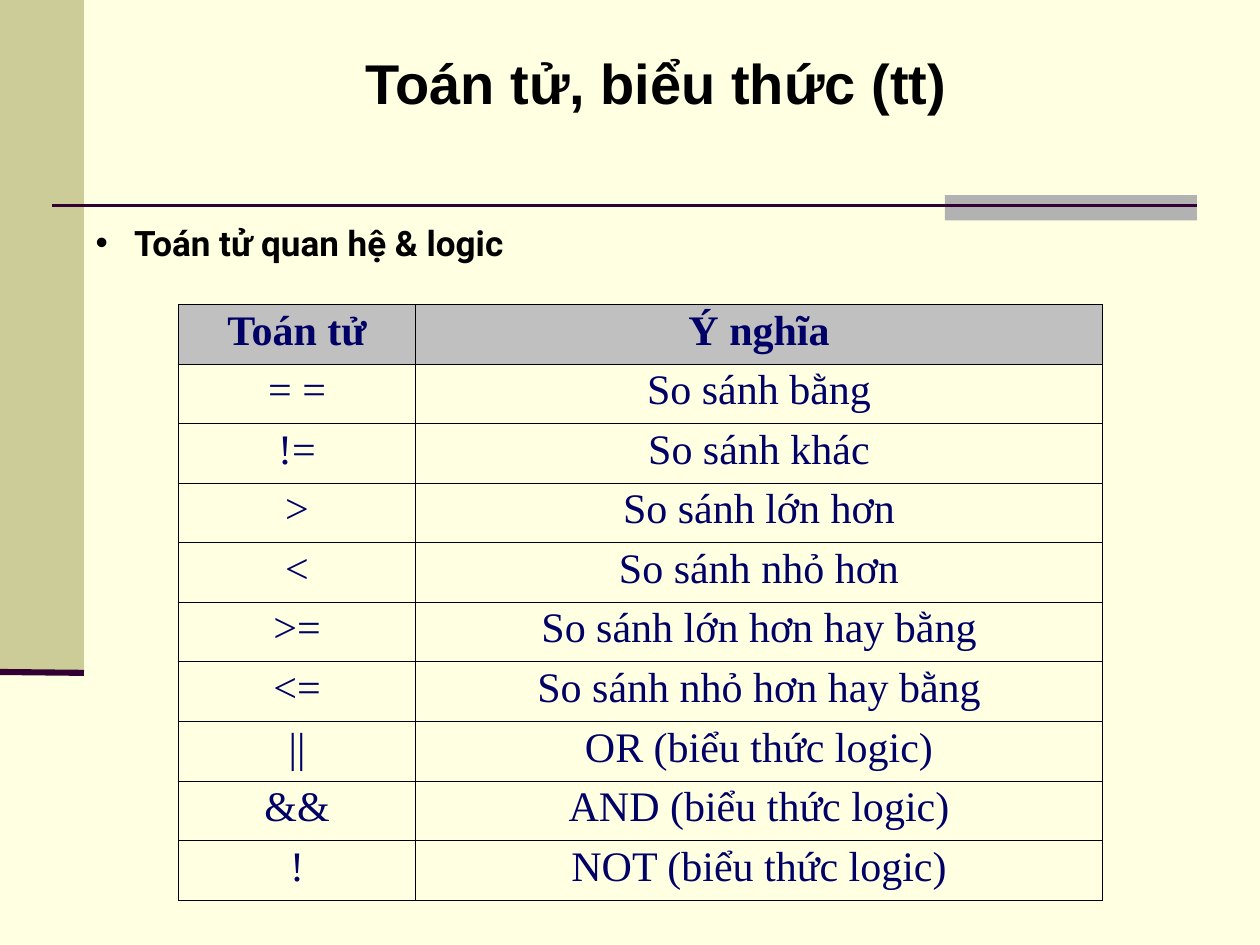
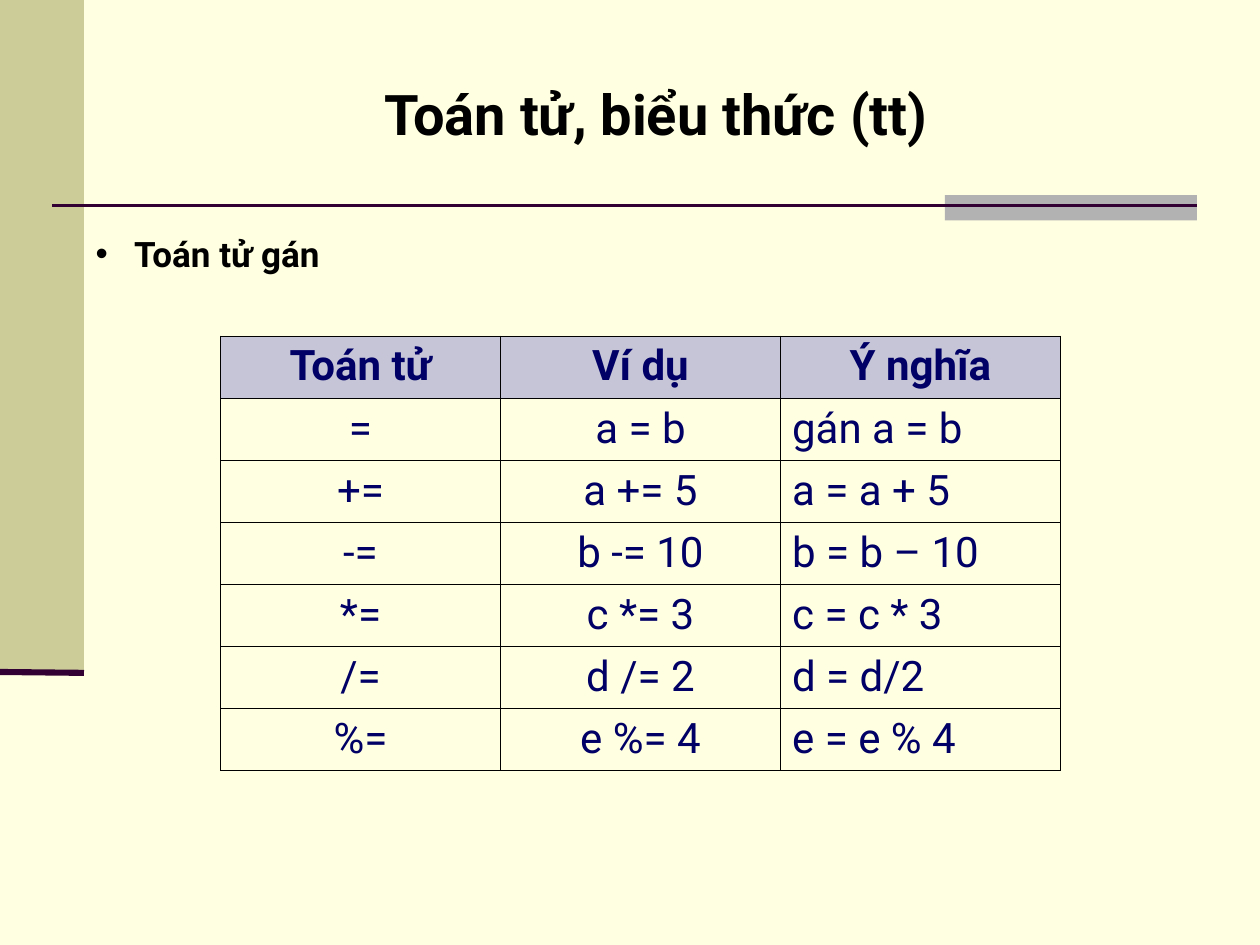
from lxml.etree import SubElement
from pptx import Presentation
from pptx.dml.color import RGBColor
from pptx.enum.shapes import MSO_CONNECTOR as Connector, MSO_SHAPE as Shape
from pptx.enum.text import MSO_AUTO_SIZE as AutoSize, PP_ALIGN as Align
from pptx.oxml.ns import qn
from pptx.util import Pt

CREAM = RGBColor(0xFF, 0xFF, 0xE1)
KHAKI = RGBColor(0xCC, 0xCC, 0x99)
GREY = RGBColor(0xB2, 0xB2, 0xB2)
PLUM = RGBColor(0x33, 0x00, 0x33)
NAVY = RGBColor(0x00, 0x00, 0x66)
BLACK = RGBColor(0x00, 0x00, 0x00)
SILVER = RGBColor(0xC0, 0xC0, 0xC0)
LAVENDER = RGBColor(0xC5, 0xC5, 0xD7)

TITLE = "Toán tử, biểu thức (tt)"
BULLET_INDENT = 22
THIN = 0.25

# Lengths in points; boxes are left, top, width, height
BANDS = [((0, 0, 48, 384), KHAKI), ((540, 111.5, 144, 14.5), GREY)]
RULES = [((30, 117.5, 684, 117.5), 1.5), ((0, 384, 48, 384.5), 3.5)]

PAGES = [
    {
        "title_box": (66, 24, 618, 46), "title_font": "Arial",
        "heading": "Toán tử quan hệ & logic", "heading_box": (54, 126, 612, 25),
        "table_at": (102, 174), "columns": (135.5, 392.5), "row_height": 32.4,
        "font": "Times New Roman", "line_spacing": 0.93, "space_before": 0,
        "header_fill": SILVER, "outline": THIN, "left_column": None,
        "rows": [
            ("Toán tử", "Ý nghĩa"),
            ("= =", "So sánh bằng"),
            ("!=", "So sánh khác"),
            (">", "So sánh lớn hơn"),
            ("<", "So sánh nhỏ hơn"),
            (">=", "So sánh lớn hơn hay bằng"),
            ("<=", "So sánh nhỏ hơn hay bằng"),
            ("||", "OR (biểu thức logic)"),
            ("&&", "AND (biểu thức logic)"),
            ("!", "NOT (biểu thức logic)"),
        ],
    },
    {
        "title_box": (72, 42, 606, 46), "title_font": "Roboto",
        "heading": "Toán tử gán", "heading_box": (54, 132, 588, 25),
        "table_at": (126, 192), "columns": (160, 160, 160), "row_height": 35,
        "font": "Roboto", "line_spacing": 0.98, "space_before": 6,
        "header_fill": LAVENDER, "outline": 0.5, "left_column": 2,
        "rows": [
            ("Toán tử", "Ví dụ", "Ý nghĩa"),
            ("=", "a = b", "gán a = b"),
            ("+=", "a += 5", "a = a + 5"),
            ("-=", "b -= 10", "b = b – 10"),
            ("*=", "c *= 3", "c = c * 3"),
            ("/=", "d /= 2", "d = d/2"),
            ("%=", "e %= 4", "e = e % 4"),
        ],
    },
]


def write(para, text, color, **font_format):
    span = para.add_run()
    span.text = text
    span.font.color.rgb = color
    for name, value in font_format.items():
        setattr(span.font, name, value)


def add_text_box(page, box, margins):
    frame = page.shapes.add_textbox(*map(Pt, box)).text_frame
    frame.word_wrap = True
    frame.auto_size = AutoSize.SHAPE_TO_FIT_TEXT
    for side, margin in margins.items():
        setattr(frame, "margin_" + side, Pt(margin))
    return frame.paragraphs[0]


deck = Presentation()
deck.slide_width, deck.slide_height = Pt(720), Pt(540)
background = deck.slide_master.background.fill
background.solid()
background.fore_color.rgb = CREAM

for content in PAGES:
    page = deck.slides.add_slide(deck.slide_layouts[6])

    # Side band, title accent and rules
    for box, color in BANDS:
        band = page.shapes.add_shape(Shape.RECTANGLE, *map(Pt, box))
        band.shadow.inherit = False
        band.fill.solid()
        band.fill.fore_color.rgb = color
        band.line.fill.background()
    for ends, width in RULES:
        rule = page.shapes.add_connector(Connector.STRAIGHT, *map(Pt, ends))
        rule.line.color.rgb = PLUM
        rule.line.width = Pt(width)
        SubElement(rule._element.spPr, qn("a:effectLst"))

    # Title
    para = add_text_box(page, content["title_box"], {})
    para.alignment = Align.CENTER
    write(para, TITLE, BLACK, size=Pt(32), bold=True, name=content["title_font"])

    # Bulleted heading
    margins = dict.fromkeys(("left", "top", "right", "bottom"), 0.7)
    para = add_text_box(page, content["heading_box"], margins)
    write(para, content["heading"], BLACK, size=Pt(20), bold=True, name="Roboto")
    para_format = para._p.get_or_add_pPr()
    para_format.set("marL", str(Pt(BULLET_INDENT)))
    para_format.set("indent", str(-Pt(BULLET_INDENT)))
    SubElement(para_format, qn("a:buFont"), typeface="Arial")
    SubElement(para_format, qn("a:buChar"), char="•")

    # Operator table
    rows, columns = content["rows"], content["columns"]
    size = (sum(columns), len(rows) * content["row_height"])
    table = page.shapes.add_table(
        len(rows), len(columns), *map(Pt, content["table_at"] + size)).table
    table.first_row = table.horz_banding = False
    for column, width in zip(table.columns, columns):
        column.width = Pt(width)
    for row_index, row in enumerate(rows):
        table.rows[row_index].height = Pt(content["row_height"])
        for column_index, text in enumerate(row):
            cell = table.cell(row_index, column_index)
            is_header = row_index == 0
            is_left = column_index == content["left_column"] and not is_header
            cell.margin_left = Pt(6.7 if is_left else 0.7)
            cell.margin_right = Pt(0.7)

            # Borders: verticals between columns are thin
            outline = content["outline"]
            borders = {
                "a:lnL": outline if column_index == 0 else THIN,
                "a:lnR": outline if column_index == len(columns) - 1 else THIN,
                "a:lnT": outline,
                "a:lnB": outline,
            }
            cell_format = cell._tc.get_or_add_tcPr()
            for tag, width in borders.items():
                border = SubElement(cell_format, qn(tag), w=str(Pt(width)))
                fill = SubElement(border, qn("a:solidFill"))
                SubElement(fill, qn("a:srgbClr"), val=str(BLACK))

            if is_header:
                cell.fill.solid()
                cell.fill.fore_color.rgb = content["header_fill"]
            else:
                cell.fill.background()

            para = cell.text_frame.paragraphs[0]
            para.alignment = Align.LEFT if is_left else Align.CENTER
            para.line_spacing = content["line_spacing"]
            para.space_before = Pt(content["space_before"])
            write(para, text, NAVY, size=Pt(24), bold=is_header, name=content["font"])

deck.save("out.pptx")
